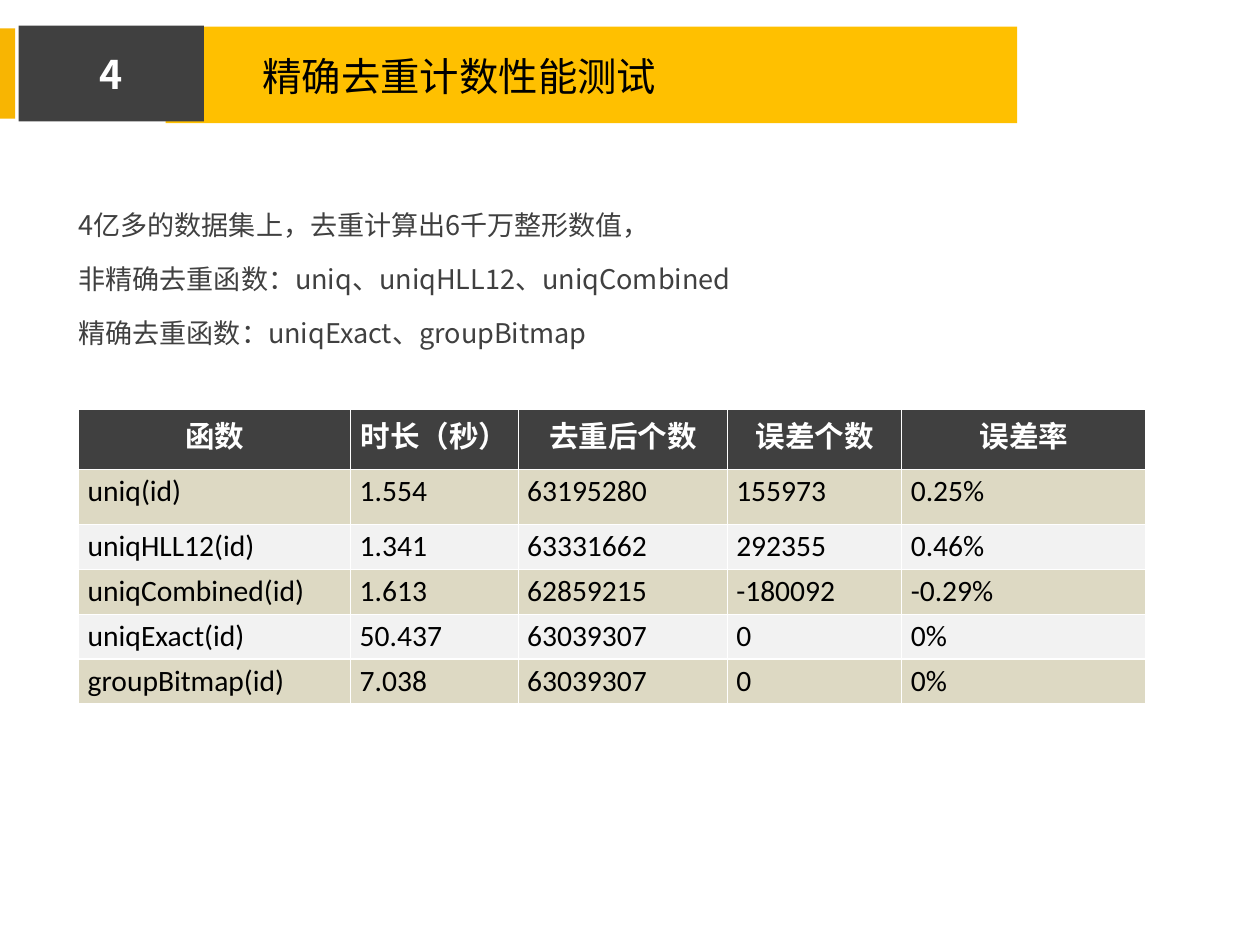
from copy import deepcopy
from dataclasses import dataclass

from pptx import Presentation
from pptx.dml.color import RGBColor
from pptx.enum.shapes import MSO_SHAPE
from pptx.enum.text import MSO_ANCHOR, MSO_AUTO_SIZE, PP_ALIGN
from pptx.oxml.ns import qn
from pptx.util import Inches, Pt


@dataclass(frozen=True)
class Theme:
    edge: str = "F8B502"
    banner: str = "FFC000"
    dark: str = "404040"
    light: str = "FFFFFF"
    ink: str = "000000"
    bands: tuple = ("DDD9C3", "F2F2F2")
    text_font: str = "Noto Sans CJK SC"
    table_font: str = "Calibri"
    title_size: int = 32
    body_size: int = 22
    table_size: int = 24


THEME = Theme()

FINDINGS = [
    "4亿多的数据集上，去重计算出6千万整形数值，",
    "非精确去重函数：uniq、uniqHLL12、uniqCombined",
    "精确去重函数：uniqExact、groupBitmap",
]
BENCHMARK = [
    ("函数", "时长（秒）", "去重后个数", "误差个数", "误差率"),
    ("uniq(id)", "1.554", "63195280", "155973", "0.25%"),
    ("uniqHLL12(id)", "1.341", "63331662", "292355", "0.46%"),
    ("uniqCombined(id)", "1.613", "62859215", "-180092", "-0.29%"),
    ("uniqExact(id)", "50.437", "63039307", "0", "0%"),
    ("groupBitmap(id)", "7.038", "63039307", "0", "0%"),
]
COLUMN_WIDTHS = (3.07, 1.89, 2.36, 1.97, 2.75)
ROW_HEIGHTS = (0.68, 0.62, 0.5, 0.5, 0.5, 0.5)


def style(paragraph, size, color, font=THEME.text_font, bold=False, align=PP_ALIGN.LEFT):
    paragraph.alignment = align
    paragraph.font.size = Pt(size)
    paragraph.font.name = font
    paragraph.font.bold = bold
    paragraph.font.color.rgb = RGBColor.from_string(color)


def use_font_for_chinese(shape):
    """Give East Asian characters the same typeface as Latin ones."""
    for latin in list(shape.element.iter(qn("a:latin"))):
        east_asian = deepcopy(latin)
        east_asian.tag = qn("a:ea")
        latin.addnext(east_asian)


def place(shape, left, top, width, height):
    shape.left, shape.top = Inches(left), Inches(top)
    shape.width, shape.height = Inches(width), Inches(height)


def add_bar(slide, color, left, top, width, height):
    """Add a flat rectangle behind the title."""
    bar = slide.shapes.add_shape(
        MSO_SHAPE.RECTANGLE, Inches(left), Inches(top), Inches(width), Inches(height))
    bar.shadow.inherit = False
    bar.fill.solid()
    bar.fill.fore_color.rgb = RGBColor.from_string(color)
    bar.line.fill.background()
    slide.shapes.title.element.addprevious(bar.element)
    return bar


def add_section_number(slide, number):
    badge = add_bar(slide, THEME.dark, 0.21, 0.29, 2.09, 1.08)
    badge.text_frame.text = number
    badge.text_frame.vertical_anchor = MSO_ANCHOR.MIDDLE
    style(badge.text_frame.paragraphs[0], THEME.title_size, THEME.light,
          bold=True, align=PP_ALIGN.CENTER)


def fill_title(title, text):
    place(title, 2.86, 0.53, 8.06, 0.64)
    title.text_frame.text = text
    title.text_frame.auto_size = MSO_AUTO_SIZE.NONE
    title.text_frame.vertical_anchor = MSO_ANCHOR.MIDDLE
    style(title.text_frame.paragraphs[0], THEME.title_size, THEME.ink)
    use_font_for_chinese(title)


def fill_findings(body, lines):
    place(body, 0.89, 2.17, 13.25, 1.75)
    frame = body.text_frame
    frame.text = "\n".join(lines)
    frame.auto_size = MSO_AUTO_SIZE.NONE
    frame.margin_left = frame.margin_right = frame.margin_top = frame.margin_bottom = 0
    for paragraph in frame.paragraphs:
        style(paragraph, THEME.body_size, THEME.dark)
        paragraph.line_spacing = 1.5
    for properties in body.element.iter(qn("a:pPr")):
        properties.set("marL", "0")
        properties.set("indent", "0")
        bullet_off = properties.makeelement(qn("a:buNone"), {})
        properties.find(qn("a:defRPr")).addprevious(bullet_off)
    use_font_for_chinese(body)


def add_benchmark_table(slide, rows):
    table = slide.shapes.add_table(
        len(rows), len(COLUMN_WIDTHS), Inches(0.89), Inches(4.62),
        Inches(sum(COLUMN_WIDTHS)), Inches(sum(ROW_HEIGHTS))).table
    for column, width in zip(table.columns, COLUMN_WIDTHS):
        column.width = Inches(width)
    for index, (row, height, values) in enumerate(zip(table.rows, ROW_HEIGHTS, rows)):
        row.height = Inches(height)
        header = index == 0
        fill = THEME.dark if header else THEME.bands[(index - 1) % 2]
        for cell, value in zip(row.cells, values):
            cell.text = value
            cell.fill.solid()
            cell.fill.fore_color.rgb = RGBColor.from_string(fill)
            style(cell.text_frame.paragraphs[0], THEME.table_size,
                  THEME.light if header else THEME.ink, THEME.table_font,
                  bold=header, align=PP_ALIGN.CENTER if header else PP_ALIGN.LEFT)


def main():
    deck = Presentation()
    deck.slide_width, deck.slide_height = Inches(14.22), Inches(10.67)
    slide = deck.slides.add_slide(deck.slide_layouts.get_by_name("Title and Content"))
    add_bar(slide, THEME.edge, 0, 0.32, 0.17, 1.02)
    add_bar(slide, THEME.banner, 1.87, 0.3, 9.61, 1.09)
    add_section_number(slide, "4")
    fill_title(slide.shapes.title, "精确去重计数性能测试")
    fill_findings(slide.placeholders[1], FINDINGS)
    add_benchmark_table(slide, BENCHMARK)
    deck.save("out.pptx")


if __name__ == "__main__":
    main()
